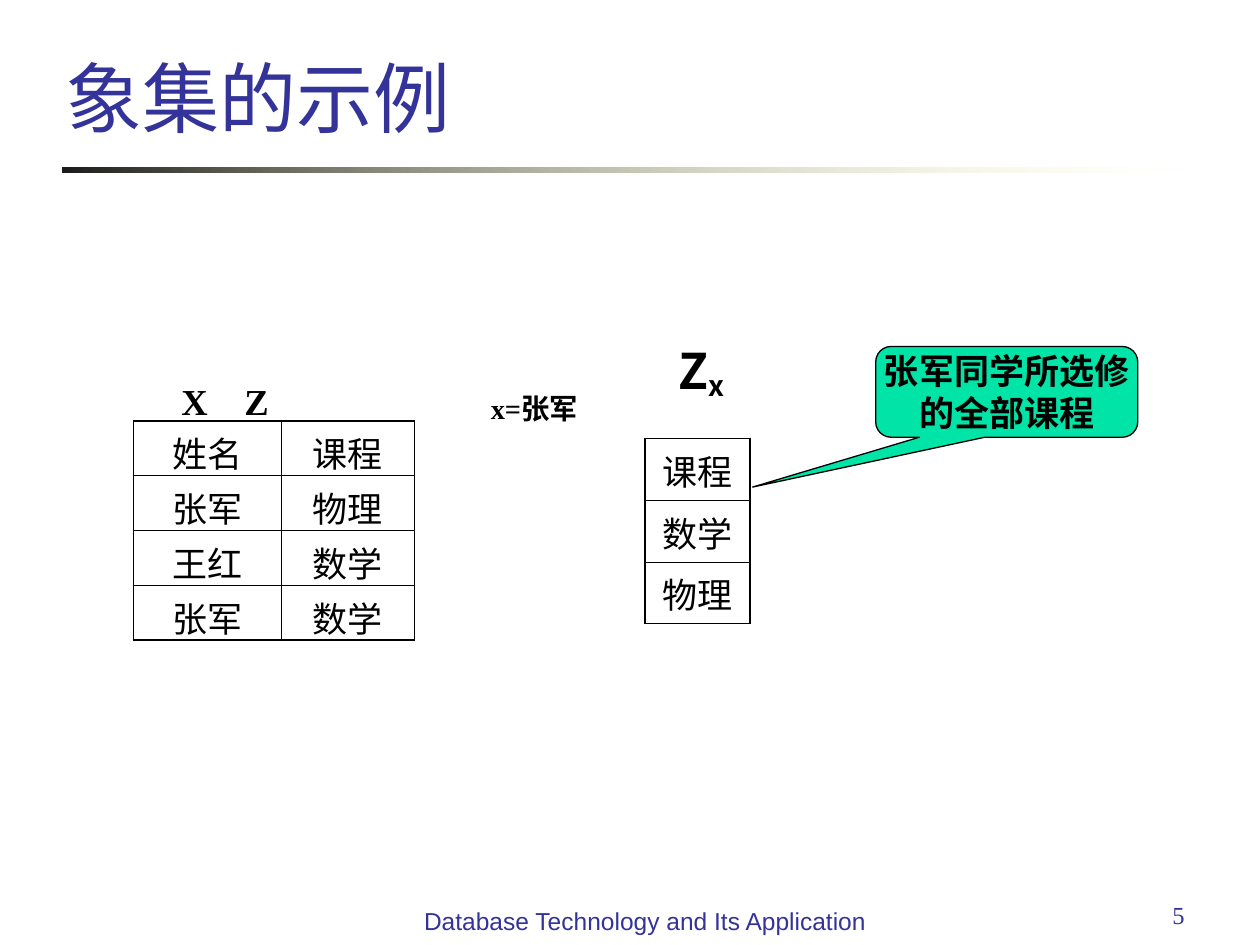
import pptx
import pptx.dml.color
import pptx.enum.dml
import pptx.enum.shapes
import pptx.enum.text
import pptx.oxml
import pptx.oxml.ns
import pptx.util

Inches = pptx.util.Inches
Pt = pptx.util.Pt
RGBColor = pptx.dml.color.RGBColor
Align = pptx.enum.text.PP_ALIGN
Anchor = pptx.enum.text.MSO_ANCHOR
Shape = pptx.enum.shapes.MSO_SHAPE
qn = pptx.oxml.ns.qn

INDIGO = RGBColor(0x33, 0x33, 0x99)
BLACK = RGBColor(0, 0, 0)
CHARCOAL = RGBColor(0x1C, 0x1C, 0x1C)
CREAM = RGBColor(0xFF, 0xFF, 0xB7)
GREEN = RGBColor(0x00, 0xE4, 0xA8)

SERIF = "Times New Roman"
SANS = "Arial"
CJK = "Noto Sans CJK SC"

# The slide is a grid of 100 columns by 75 rows.
WIDTH, HEIGHT = Inches(10), Inches(7.5)
COLUMN, ROW = WIDTH / 100, HEIGHT / 75
OUTER, INNER = Pt(1.08), Pt(0.45)


def on_grid(box):
    """Turn left, top, width, height in grid units into lengths."""
    return [round(value * unit) for value, unit in zip(box, (COLUMN, ROW) * 2)]


def style(para, size, name, color=BLACK, bold=False, align=Align.CENTER):
    para.alignment = align
    para.font.size = Pt(size)
    para.font.name = name
    para.font.color.rgb = color
    para.font.bold = bold


def add_label(page, box, words, size, name, color=BLACK, bold=False,
              align=Align.CENTER, anchor=Anchor.TOP):
    frame = page.shapes.add_textbox(*on_grid(box)).text_frame
    frame.word_wrap = True
    frame.vertical_anchor = anchor
    para = frame.paragraphs[0]
    para.add_run().text = words
    style(para, size, name, color, bold, align)
    return para


def set_baseline(span, percent):
    span.font._element.set("baseline", str(percent * 1000))


def add_header(page, box):
    left, top, width, height = box
    add_label(page, (left, top, width, height), "象集的示例", 44, SANS, INDIGO,
              align=Align.LEFT, anchor=Anchor.BOTTOM)
    rule = page.shapes.add_shape(
        Shape.RECTANGLE, *on_grid((left + 0.8, top + height + 1.5, 90, 0.4)))
    rule.shadow.inherit = False
    rule.line.fill.background()
    rule.fill.gradient()
    rule.fill.gradient_angle = 0
    for stop, color in zip(rule.fill.gradient_stops, (CHARCOAL, CREAM)):
        stop.color.rgb = color
    faded = rule._element.findall(".//" + qn("a:srgbClr"))[-1]
    pptx.oxml.parse_xml(
        f'<a:alpha {pptx.oxml.ns.nsdecls("a")} val="0"/>')
    faded.append(pptx.oxml.parse_xml(
        f'<a:alpha {pptx.oxml.ns.nsdecls("a")} val="0"/>'))


def set_borders(cell, widths):
    """Draw black borders; widths go left, right, top, bottom."""
    cell_style = cell._tc.get_or_add_tcPr()
    for index, (side, width) in enumerate(zip("LRTB", widths)):
        cell_style.insert(index, pptx.oxml.parse_xml(
            f'<a:ln{side} {pptx.oxml.ns.nsdecls("a")} w="{width}"><a:solidFill>'
            f'<a:srgbClr val="{BLACK}"/></a:solidFill></a:ln{side}>'))


def add_relation(page, box, column_widths, rows):
    table = page.shapes.add_table(
        len(rows), len(column_widths), *on_grid(box)).table
    table.first_row = table.horz_banding = False
    for column, width in zip(table.columns, column_widths):
        column.width = round(width * COLUMN)
    last_row, last_column = len(rows) - 1, len(column_widths) - 1
    for r, row in enumerate(rows):
        table.rows[r].height = round(box[3] * ROW / len(rows))
        for c, words in enumerate(row):
            cell = table.cell(r, c)
            cell.fill.background()
            edges = (c == 0, c == last_column, r == 0, r == last_row)
            set_borders(cell, [OUTER if edge else INNER for edge in edges])
            para = cell.text_frame.paragraphs[0]
            para.add_run().text = words
            style(para, 20, SERIF)


def add_column_names(page, box):
    para = add_label(page, box, "X\tZ", 36, SERIF, bold=True, align=Align.LEFT)
    set_baseline(para.runs[0], -20)
    settings = para._p.get_or_add_pPr()
    settings.set("marL", str(round(2.2 * COLUMN)))
    settings.set("indent", "0")
    settings.insert(0, pptx.oxml.parse_xml(
        f'<a:tabLst {pptx.oxml.ns.nsdecls("a")}>'
        f'<a:tab pos="{round(13 * COLUMN)}" algn="l"/></a:tabLst>'))


def add_condition(page, box):
    para = add_label(page, box, "x=张军", 28, SERIF, bold=True)
    set_baseline(para.runs[0], -20)


def add_image_set_name(page, box):
    para = add_label(page, box, "Z", 28, CJK, bold=True)
    subscript = para.add_run()
    subscript.text = "x"
    set_baseline(subscript, -16)


def add_callout(page, box):
    callout = page.shapes.add_shape(
        Shape.ROUNDED_RECTANGULAR_CALLOUT, *on_grid(box))
    callout.shadow.inherit = False
    for index, value in enumerate((-0.97, 1.05, 0.17)):
        callout.adjustments[index] = value
    callout.fill.solid()
    callout.fill.fore_color.rgb = GREEN
    callout.line.color.rgb = BLACK
    callout.line.width = Pt(0.75)
    frame = callout.text_frame
    frame.word_wrap = True
    frame.vertical_anchor = Anchor.MIDDLE
    frame.margin_left = frame.margin_right = 0
    frame.margin_top = frame.margin_bottom = 0
    para = frame.paragraphs[0]
    para.add_run().text = "张军同学所选修的全部课程"
    style(para, 20, SERIF, bold=True)


def add_footer(page, box):
    left, top, width, height = box
    add_label(page, (left, top + 0.5, 38.6, height),
              "Database Technology and Its Application", 14, SANS, INDIGO)
    add_label(page, (left + width - 23.3, top, 23.3, height),
              "5", 14, SERIF, INDIGO, align=Align.RIGHT)


def main():
    deck = pptx.Presentation()
    deck.slide_width, deck.slide_height = WIDTH, HEIGHT
    page = deck.slides.add_slide(deck.slide_layouts[6])
    add_header(page, (4.2, 0, 87.8, 11.8))
    add_column_names(page, (11.2, 26.5, 19.2, 7.6))
    add_callout(page, (69.5, 27.5, 20.8, 7.2))
    add_condition(page, (37, 28.1, 10.8, 6.1))
    add_image_set_name(page, (50.3, 26.5, 10.8, 6))
    add_relation(page, (10.6, 33.4, 22.3, 17.4), (11.7, 10.6), [
        ("姓名", "课程"), ("张军", "物理"), ("王红", "数学"), ("张军", "数学")])
    add_relation(page, (51.2, 34.8, 8.3, 14.7), (8.3,),
                 [("课程",), ("数学",), ("物理",)])
    add_footer(page, (31.9, 70.9, 63.1, 5.2))
    deck.save("out.pptx")


if __name__ == "__main__":
    main()
